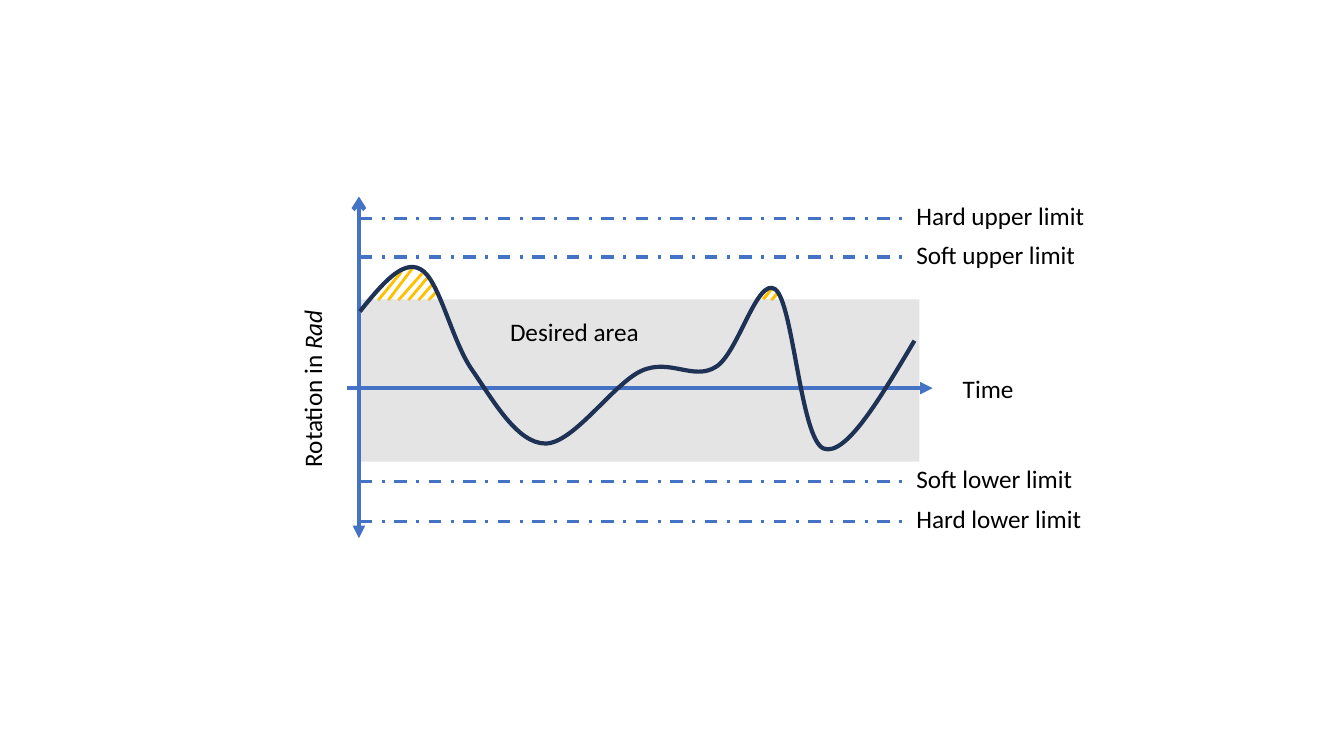
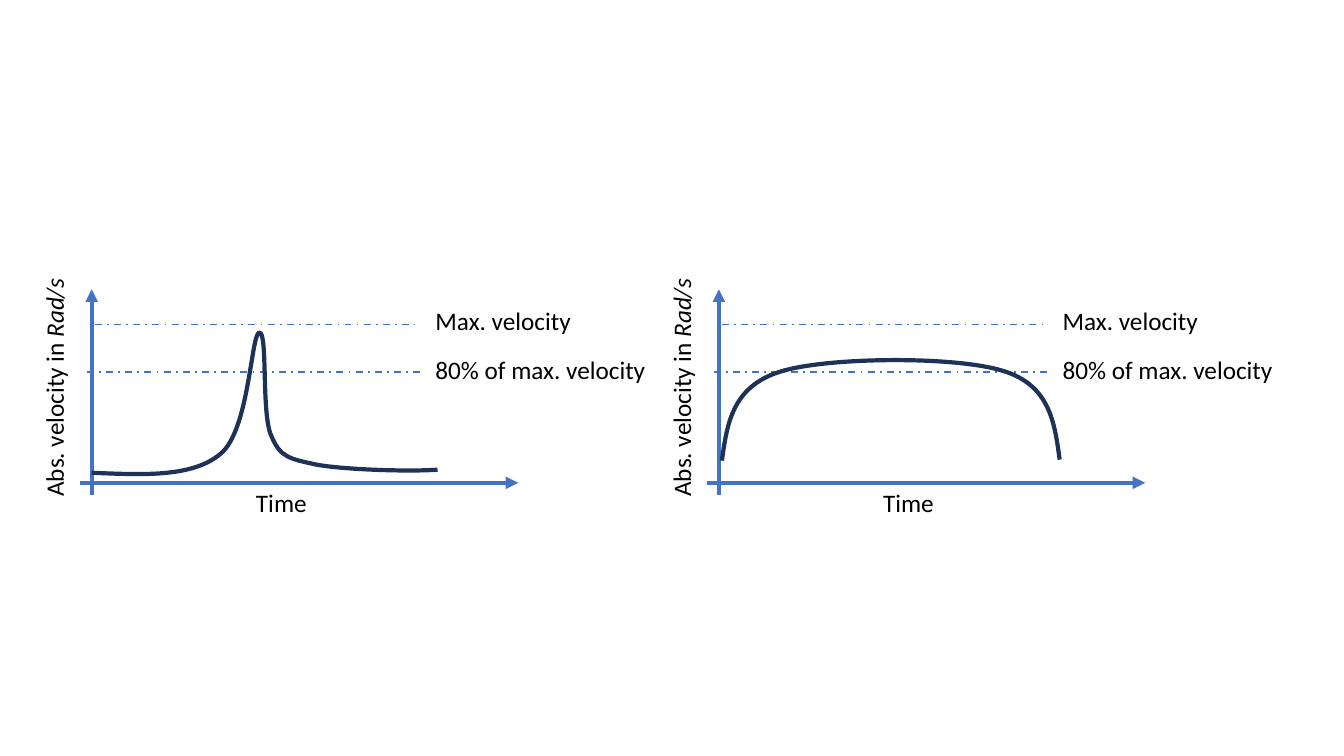
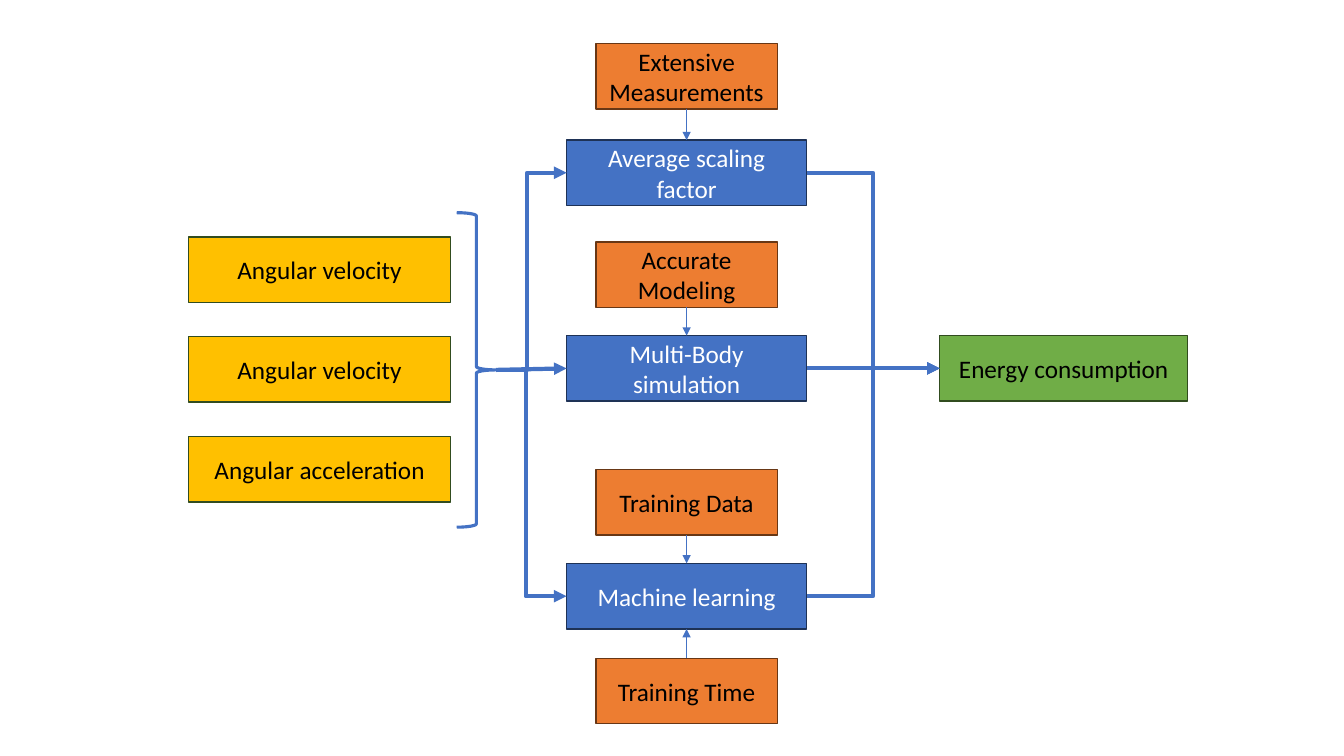
from dataclasses import dataclass

from lxml import etree
from pptx import Presentation
from pptx import util as u
from pptx.dml import color
from pptx.enum import dml, shapes, text
from pptx.oxml import ns


@dataclass(frozen=True)
class Theme:
    font: str = "Calibri"
    size: int = 18
    black: str = "000000"
    white: str = "FFFFFF"
    blue: str = "4472C4"
    navy: str = "1E3256"
    gold: str = "FFC000"
    gray: str = "D0CECE"
    green: str = "70AD47"
    moss: str = "314C1F"
    orange: str = "ED7D31"
    brown: str = "683715"
    bold: float = 3
    mid: float = 2.25
    hatch: float = 2
    thin: float = 1.25
    edge: float = 1
    hair: float = 0.5


T = Theme()
BOX = 0.65


def rgb(tone):
    return color.RGBColor.from_string(tone)


def add_tag(node, tag, **attrs):
    return etree.SubElement(node, ns.qn(tag), **attrs)


def stroke(item, tone, width):
    item.line.color.rgb = rgb(tone)
    item.line.width = u.Pt(width)


def write(frame, parts, tone):
    para = frame.paragraphs[0]
    for words, slant in parts:
        run = para.add_run()
        run.text = words
        font = run.font
        font.name = T.font
        font.size = u.Pt(T.size)
        font.color.rgb = rgb(tone)
        if slant:
            font.italic = True
    return para


def add_label(slide, x, y, w, parts, turn=0):
    label = slide.shapes.add_textbox(
        u.Inches(x), u.Inches(y), u.Inches(w), u.Inches(0.4))
    label.rotation = turn
    frame = label.text_frame
    frame.word_wrap = False
    frame.auto_size = text.MSO_AUTO_SIZE.SHAPE_TO_FIT_TEXT
    write(frame, parts, T.black)


def add_shape(slide, kind, x, y, w, h):
    shape = slide.shapes.add_shape(
        kind, u.Inches(x), u.Inches(y), u.Inches(w), u.Inches(h))
    shape.shadow.inherit = False
    return shape


def add_box(slide, x, y, w, words, fill, edge, tone=T.black):
    box = add_shape(slide, shapes.MSO_SHAPE.RECTANGLE, x, y, w, BOX)
    box.fill.solid()
    box.fill.fore_color.rgb = rgb(fill)
    stroke(box, edge, T.edge)
    box.text_frame.vertical_anchor = text.MSO_ANCHOR.MIDDLE
    para = write(box.text_frame, [(words, False)], tone)
    para.alignment = text.PP_ALIGN.CENTER
    return box


def add_line(slide, start, end, width, tone=T.blue, head=None, tail=None,
             dash=False, bend=None):
    kind = shapes.MSO_CONNECTOR.STRAIGHT
    if bend is not None:
        kind = shapes.MSO_CONNECTOR.ELBOW
    line = slide.shapes.add_connector(
        kind, *(u.Inches(n) for n in (*start, *end)))
    stroke(line, tone, width)
    if dash:
        line.line.dash_style = dml.MSO_LINE.DASH_DOT
    props = line.element.spPr
    for tag, tip in (("a:headEnd", head), ("a:tailEnd", tail)):
        if tip:
            add_tag(props.find(ns.qn("a:ln")), tag, type=tip)
    add_tag(props, "a:effectLst")
    if bend is not None:
        guides = props.find(ns.qn("a:prstGeom")).find(ns.qn("a:avLst"))
        add_tag(guides, "a:gd", name="adj1", fmla=f"val {round(bend * 100000)}")
    return line


def add_link(slide, first, side, last, goal, width, bend=None):
    link = add_line(slide, (0, 0), (1, 1), width, tail="triangle", bend=bend)
    link.begin_connect(first, side)
    link.end_connect(last, goal)


def add_curve(slide, start, arcs, shift=0):
    def place(point):
        return u.Inches(point[0] + shift), u.Inches(point[1])

    knots = [start] + [arc[-1] for arc in arcs]
    maker = slide.shapes.build_freeform(*place(start))
    maker.add_line_segments([place(knot) for knot in knots[1:]], close=False)
    curve = maker.convert_to_shape()
    curve.shadow.inherit = False
    curve.fill.background()
    stroke(curve, T.navy, T.bold)
    route = next(curve.element.iter(ns.qn("a:path")))
    for old, arc in zip(route.findall(ns.qn("a:lnTo")), arcs):
        bow = etree.Element(ns.qn("a:cubicBezTo"))
        for point in arc:
            x, y = place(point)
            add_tag(bow, "a:pt", x=str(x - curve.left), y=str(y - curve.top))
        route.replace(old, bow)


def draw_limits(slide):
    for x1, y1, x2, y2 in ((7.57, 2.97, 7.65, 2.87), (7.65, 2.98, 7.71, 2.91)):
        add_line(slide, (x1, y1), (x2, y2), T.mid, T.gold)
    tops = ((3.98, 2.7), (4.1, 2.65), (4.19, 2.71),
            (4.26, 2.73), (4.29, 2.82), (4.34, 2.88))
    for i, top in enumerate(tops):
        add_line(slide, (3.75 + 0.1 * i, 2.98), top, T.hatch, T.gold)

    area = add_shape(slide, shapes.MSO_SHAPE.RECTANGLE, 3.56, 2.97, 5.56, 1.61)
    area.fill.solid()
    area.fill.fore_color.rgb = rgb(T.gray)
    add_tag(next(area.element.spPr.iter(ns.qn("a:srgbClr"))), "a:alpha", val="54000")
    area.line.fill.background()

    add_line(slide, (3.44, 3.85), (9.25, 3.85), T.bold, tail="triangle")
    add_line(slide, (3.56, 5.34), (3.56, 1.95), T.bold,
             head="triangle", tail="arrow")
    add_label(slide, 9.45, 3.65, 0.71, [("Time", False)])
    add_label(slide, 2.21, 3.65, 1.77,
              [("Rotation in ", False), ("Rad", True)], 270)
    add_curve(slide, (3.57, 3.09), [
        ((3.78, 2.83), (3.99, 2.57), (4.17, 2.67)),
        ((4.36, 2.77), (4.48, 3.39), (4.69, 3.68)),
        ((4.89, 3.97), (5.13, 4.4), (5.41, 4.4)),
        ((5.69, 4.4), (6.08, 3.81), (6.36, 3.68)),
        ((6.64, 3.55), (6.88, 3.78), (7.1, 3.64)),
        ((7.32, 3.51), (7.51, 2.74), (7.69, 2.87)),
        ((7.87, 3.01), (7.94, 4.36), (8.17, 4.45)),
        ((8.39, 4.53), (8.73, 3.95), (9.07, 3.38)),
    ])
    limits = (("Hard upper limit", 2.17, 1.94, 1.89),
              ("Hard lower limit", 5.17, 4.94, 1.86),
              ("Soft upper limit", 2.55, 2.33, 1.8),
              ("Soft lower limit", 4.78, 4.55, 1.77))
    for words, y, top, wide in limits:
        add_line(slide, (3.57, y), (9, y), T.mid, dash=True)
        add_label(slide, 8.99, top, wide, [(words, False)])
    add_label(slide, 4.96, 3.09, 1.49, [("Desired area", False)])


def draw_plot(slide, shift, start, arcs):
    add_line(slide, (0.79 + shift, 4.79), (5.14 + shift, 4.79), T.bold,
             tail="triangle")
    add_line(slide, (0.91 + shift, 4.91), (0.91 + shift, 2.87), T.bold,
             tail="triangle")
    add_label(slide, 2.44 + shift, 4.79, 0.71, [("Time", False)])
    add_label(slide, -0.66 + shift, 3.63, 2.39,
              [("Abs. velocity in ", False), ("Rad/s", True)], 270)
    levels = (("Max. velocity", 0.94, 4.12, 3.22, 2.98, 1.56),
              ("80% of max. velocity", 0.86, 4.19, 3.69, 3.47, 2.31))
    for words, x1, x2, y, top, wide in levels:
        add_line(slide, (x1 + shift, y), (x2 + shift, y), T.thin, dash=True)
        add_label(slide, 4.22 + shift, top, wide, [(words, False)])
    add_curve(slide, start, arcs, shift)


def draw_speeds(slide):
    draw_plot(slide, 0, (0.91, 4.69), [
        ((1.41, 4.71), (1.91, 4.74), (2.19, 4.5)),
        ((2.47, 4.27), (2.49, 3.33), (2.57, 3.3)),
        ((2.66, 3.27), (2.59, 4.1), (2.69, 4.32)),
        ((2.78, 4.54), (2.87, 4.55), (3.14, 4.61)),
        ((3.42, 4.66), (4.05, 4.68), (4.34, 4.66)),
    ])
    draw_plot(slide, 6.22, (0.94, 4.57), [
        ((0.99, 4.21), (1.04, 3.84), (1.51, 3.69)),
        ((1.97, 3.54), (3.26, 3.53), (3.73, 3.68)),
        ((4.19, 3.82), (4.24, 4.19), (4.29, 4.56)),
    ])


def draw_flow(slide):
    steps = (("Average scaling factor", 1.39),
             ("Multi-Body simulation", 3.33),
             ("Machine learning", 5.59))
    scale, body, learn = [
        add_box(slide, 5.62, y, 2.38, words, T.blue, T.navy, T.white)
        for words, y in steps]
    goal = add_box(slide, 9.32, 3.33, 2.46, "Energy consumption",
                   T.green, T.moss)
    inputs = ("Angular velocity", "Angular velocity", "Angular acceleration")
    for i, words in enumerate(inputs):
        add_box(slide, 1.87, 2.35 + 0.99 * i, 2.6, words, T.gold, T.moss)

    brace = add_shape(slide, shapes.MSO_SHAPE.RIGHT_BRACE,
                      4.53, 2.11, 0.39, 3.12)
    brace.fill.background()
    stroke(brace, T.blue, T.mid)

    for step, bend in ((body, None), (scale, 0.44), (learn, 0.42)):
        fork = add_line(slide, (4.92, 3.67), (5.62, 3.65), T.bold,
                        tail="triangle", bend=bend)
        fork.end_connect(step, 1)
    for step, bend in ((body, None), (scale, 0.5), (learn, 0.5)):
        add_link(slide, step, 3, goal, 1, T.bold, bend)

    needs = (("Extensive Measurements", 0.43, 2, scale, 0),
             ("Accurate Modeling", 2.4, 2, body, 0),
             ("Training Data", 4.66, 2, learn, 0),
             ("Training Time", 6.53, 0, learn, 2))
    for words, y, side, step, port in needs:
        need = add_box(slide, 5.91, y, 1.8, words, T.orange, T.brown)
        add_link(slide, need, side, step, port, T.hair)


def main():
    deck = Presentation()
    deck.slide_width = u.Inches(13.33)
    deck.slide_height = u.Inches(7.5)
    for draw in (draw_limits, draw_speeds, draw_flow):
        draw(deck.slides.add_slide(deck.slide_layouts[6]))
    deck.save("out.pptx")


if __name__ == "__main__":
    main()
